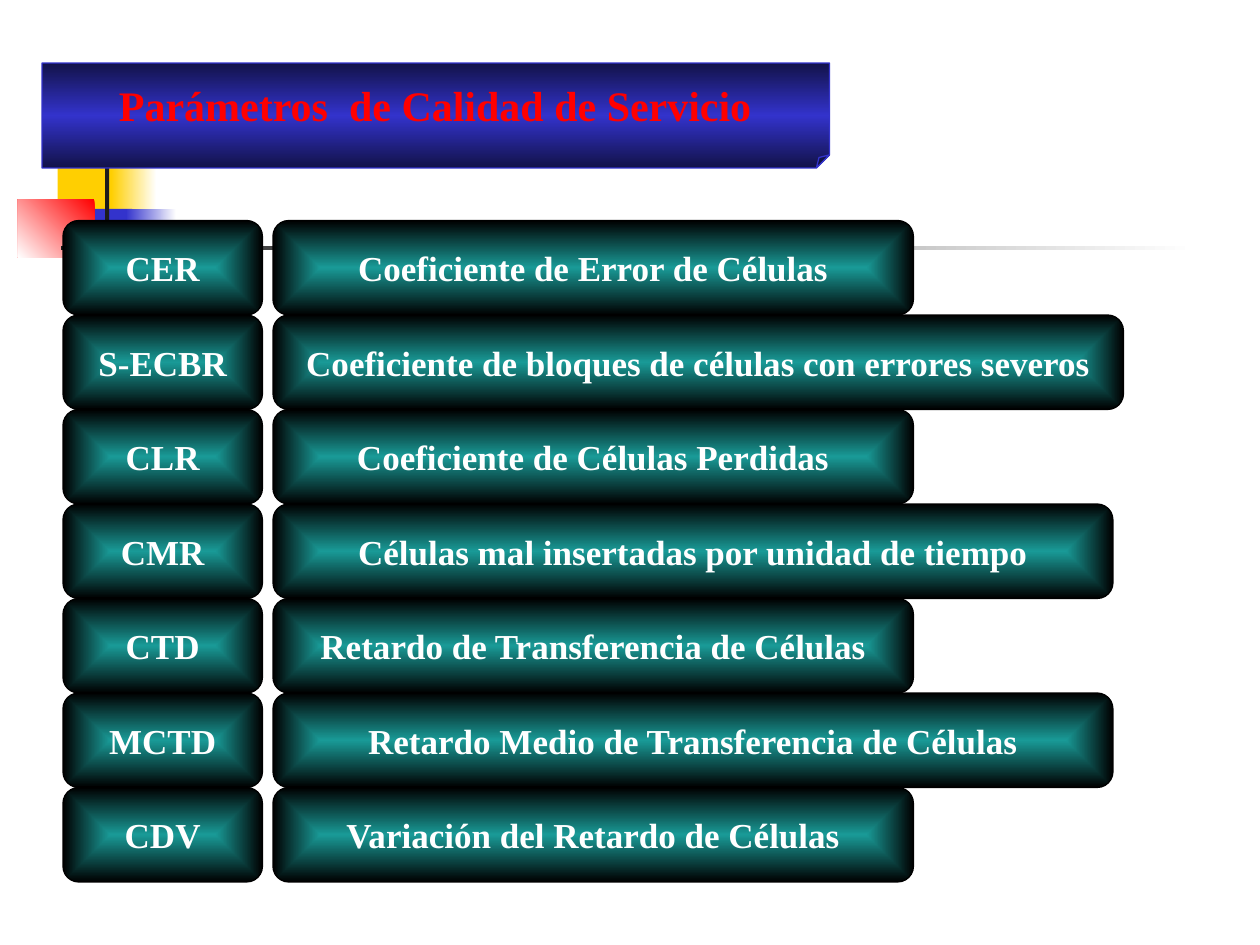
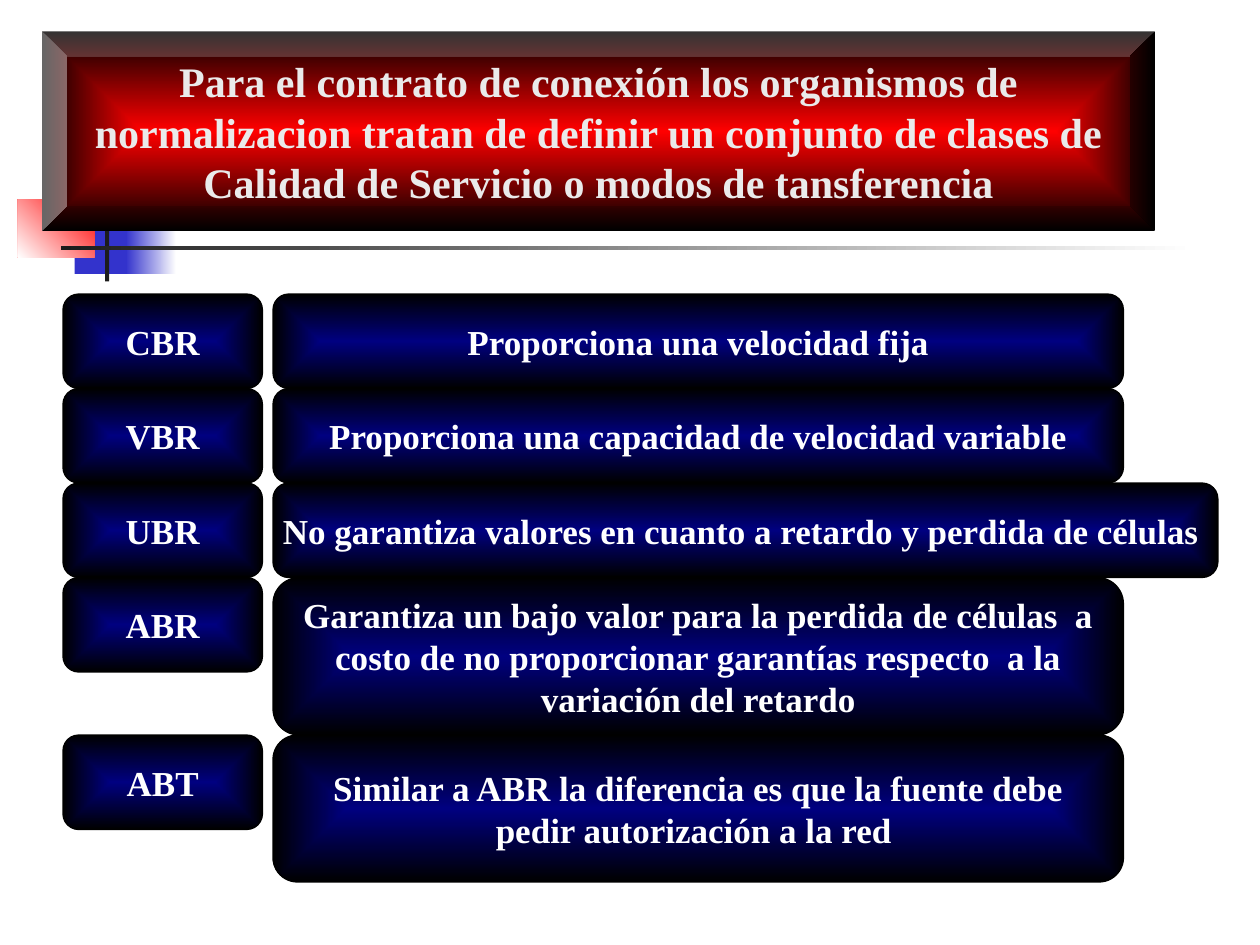
from lxml import etree
from pptx import Presentation
from pptx.dml.color import RGBColor
from pptx.enum.shapes import MSO_SHAPE
from pptx.enum.text import MSO_ANCHOR, PP_ALIGN
from pptx.oxml.ns import qn
from pptx.util import Pt

PX = 7620  # 120 px to the inch
WHITE, BLACK, RED = "FFFFFF", "000000", "FF0000"
YELLOW, BLUE, INK = "FFCF01", "3333CC", "1C1C1C"
NAVY, TEAL, DEEP_BLUE, PALE = "121249", "199A97", "000080", "EAEAEA"
ROW_H, LABEL_X, LABEL_W, TEXT_X = 90, 60, 190, 260


def rgb(value):
    return RGBColor.from_string(value)


class Deck:
    """Holds the shared style and the slide being built."""

    font = "Times New Roman"

    def __init__(self, width, height):
        self.prs = Presentation()
        self.prs.slide_width, self.prs.slide_height = width * PX, height * PX
        self.s = None

    def slide(self):
        self.s = self.prs.slides.add_slide(self.prs.slide_layouts[6])
        self.decoration()

    def shape(self, kind, x, y, w, h, fill, angle=None, line=None, adj=None):
        """A colour string fills solid; a list of colours fills with a gradient,
        linear when an angle is given and otherwise from the centre outwards."""
        sp = self.s.shapes.add_shape(kind, x * PX, y * PX, w * PX, h * PX)
        sp.shadow.inherit = False
        if adj is not None:
            self.adjust(sp, adj)
        if isinstance(fill, str):
            sp.fill.solid()
            sp.fill.fore_color.rgb = rgb(fill)
        else:
            self.gradient(sp, fill, angle)
        if line:
            sp.line.color.rgb = rgb(line)
            sp.line.width = Pt(0.75)
        else:
            sp.line.fill.background()
        return sp

    def adjust(self, sp, value):
        """Written as XML because the folded corner has no adjustments list."""
        guides = sp._element.spPr.find(qn("a:prstGeom")).find(qn("a:avLst"))
        for child in list(guides):
            guides.remove(child)
        etree.SubElement(guides, qn("a:gd"), name="adj",
                         fmla=f"val {round(value * 100000)}")

    def gradient(self, sp, colors, angle):
        sp.fill.gradient()
        grad = sp._element.spPr.find(qn("a:gradFill"))
        for child in list(grad):
            grad.remove(child)
        stops = etree.SubElement(grad, qn("a:gsLst"))
        for i, color in enumerate(colors):
            pos = str(100000 * i // (len(colors) - 1))
            stop = etree.SubElement(stops, qn("a:gs"), pos=pos)
            etree.SubElement(stop, qn("a:srgbClr"), val=color)
        if angle is not None:
            etree.SubElement(grad, qn("a:lin"), ang=str(angle * 60000), scaled="0")
        else:
            rect = etree.SubElement(grad, qn("a:path"), {"path": "rect"})
            sides = dict.fromkeys("ltrb", "50000")
            etree.SubElement(rect, qn("a:fillToRect"), sides)

    def text(self, sp, text, size, color, wrap=True, anchor=MSO_ANCHOR.MIDDLE):
        tf = sp.text_frame
        tf.word_wrap = wrap
        tf.vertical_anchor = anchor
        tf.text = text
        p = tf.paragraphs[0]
        p.alignment = PP_ALIGN.CENTER
        font = p.runs[0].font
        font.name, font.size, font.bold = self.font, Pt(size), True
        font.color.rgb = rgb(color)

    def textbox(self, x, y, w, h, text, size, color):
        sp = self.s.shapes.add_textbox(x * PX, y * PX, w * PX, h * PX)
        self.text(sp, text, size, color, anchor=MSO_ANCHOR.TOP)

    def decoration(self):
        """Coloured squares and crossing bars behind every slide."""
        for x, y, w, h, fill, angle in (
            (55, 144, 58, 62, YELLOW, None),
            (106, 144, 43, 62, [WHITE, YELLOW], 180),
            (71, 199, 55, 62, BLUE, None),
            (120, 199, 48, 62, [WHITE, BLUE], 180),
            (17, 190, 73, 55, [RED, WHITE], 135),
            (100, 130, 4, 138, INK, None),
            (58, 234, 1080, 4, [WHITE, INK], 180),
        ):
            self.shape(MSO_SHAPE.RECTANGLE, x, y, w, h, fill, angle)

    def pill(self, x, y, w, h, text, color):
        sp = self.shape(MSO_SHAPE.ROUNDED_RECTANGLE, x, y, w, h,
                        [color, BLACK], line=BLACK, adj=0.167)
        self.text(sp, text, 20, WHITE, wrap=h > ROW_H)

    def rows(self, y, color, rows):
        """Stack acronym and description pairs downwards from y."""
        for label, text, w, h in rows:
            self.pill(LABEL_X, y, LABEL_W, ROW_H, label, color)
            self.pill(TEXT_X, y, w, h, text, color)
            y += h


def main():
    deck = Deck(1200, 900)

    # Quality of service parameters
    deck.slide()
    deck.shape(MSO_SHAPE.FOLDED_CORNER, 40, 60, 750, 100,
               [NAVY, BLUE, NAVY], angle=90, line=BLUE, adj=0.125)
    deck.textbox(73, 70, 683, 60, "Parámetros  de Calidad de Servicio", 24, RED)
    deck.rows(210, TEAL, [
        ("CER", "Coeficiente de Error de Células", 610, ROW_H),
        ("S-ECBR", "Coeficiente de bloques de células con errores severos", 810, ROW_H),
        ("CLR", "Coeficiente de Células Perdidas", 610, ROW_H),
        ("CMR", "Células mal insertadas por unidad de tiempo", 800, ROW_H),
        ("CTD", "Retardo de Transferencia de Células", 610, ROW_H),
        ("MCTD", "Retardo Medio de Transferencia de Células", 800, ROW_H),
        ("CDV", "Variación del Retardo de Células", 610, ROW_H),
    ])

    # Service classes
    deck.slide()
    banner = deck.shape(MSO_SHAPE.BEVEL, 40, 30, 1060, 190, [RED, BLACK], adj=0.125)
    deck.text(banner, "Para el contrato de conexión los organismos de normalizacion "
              "tratan de definir un conjunto de clases de Calidad de Servicio "
              "o modos de tansferencia", 24, PALE)
    deck.rows(280, DEEP_BLUE, [
        ("CBR", "Proporciona una velocidad fija", 810, ROW_H),
        ("VBR", "Proporciona una capacidad de velocidad variable", 810, ROW_H),
        ("UBR", "No garantiza valores en cuanto a retardo y perdida de células ",
         900, ROW_H),
        ("ABR", "Garantiza un bajo valor para la perdida de células  a costo de no "
         "proporcionar garantías respecto  a la variación del retardo", 810, 150),
        ("ABT", "Similar a ABR la diferencia es que la fuente debe pedir "
         "autorización a la red ", 810, 140),
    ])

    deck.prs.save("out.pptx")


if __name__ == "__main__":
    main()
